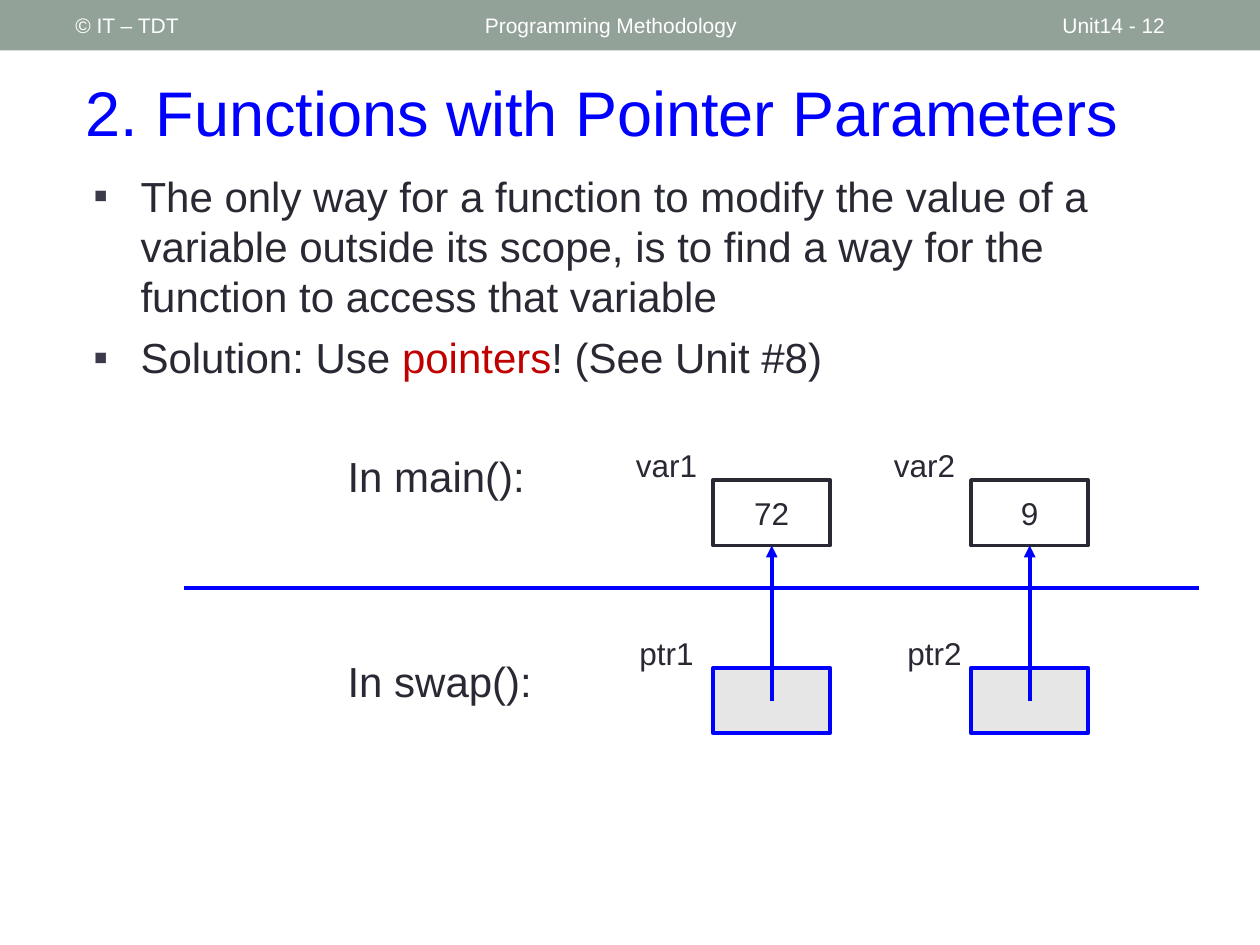
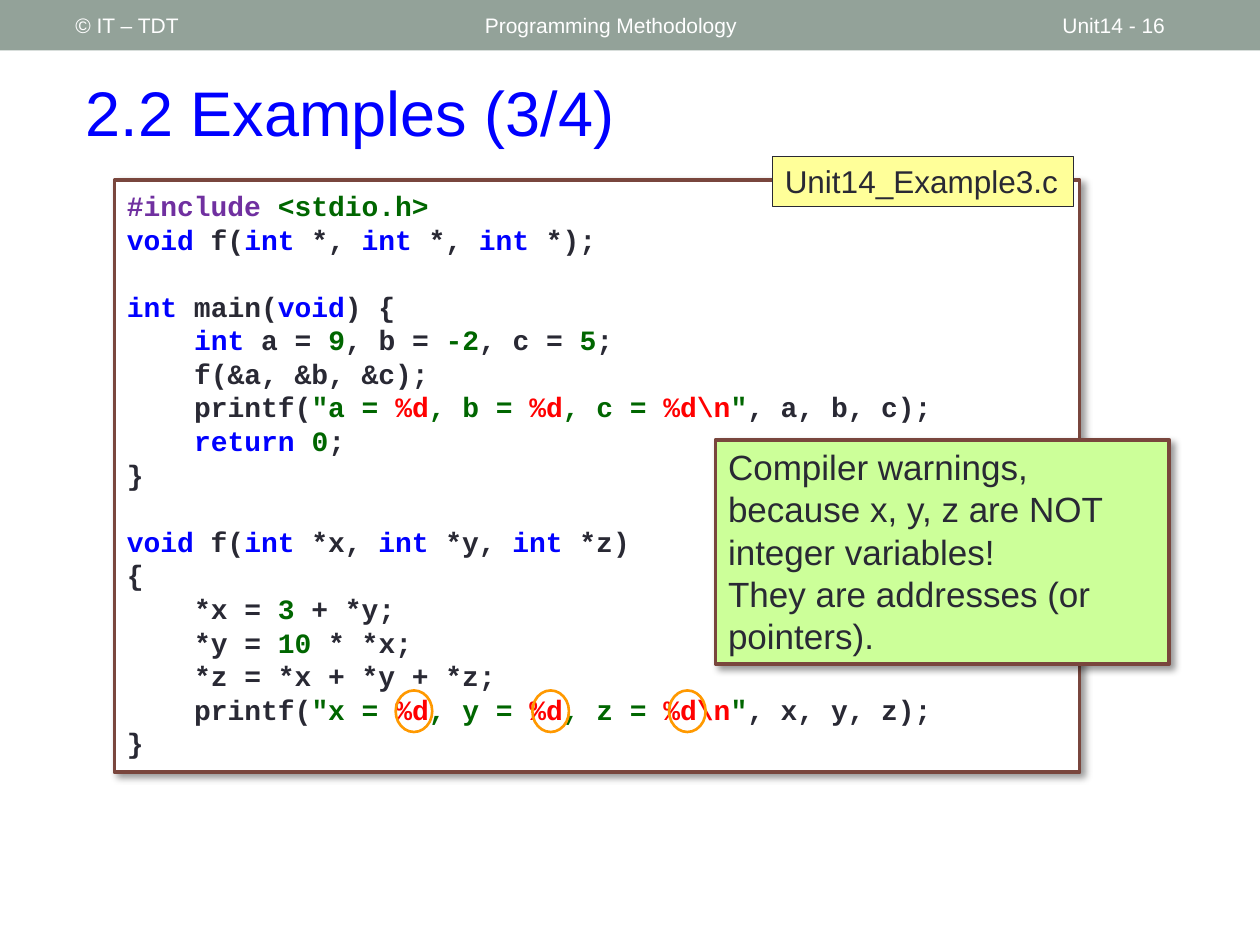
from dataclasses import dataclass
from functools import partial

from lxml import etree
from pptx import Presentation
from pptx.dml.color import RGBColor
from pptx.enum import shapes, text
from pptx.oxml import ns
from pptx.util import Pt


# Theme: colours, fonts and type sizes
@dataclass(frozen=True)
class Theme:
    band: str = "93A299"
    white: str = "FFFFFF"
    ink: str = "292934"
    blue: str = "0000FF"
    accent: str = "C00000"
    bullet: str = "3A3A4A"
    pointer_fill: str = "E6E6E6"
    frame: str = "79463D"
    tag: str = "FFFF99"
    callout: str = "CCFF99"
    ring: str = "FF9900"
    directive: str = "7030A0"
    literal: str = "006600"
    conversion: str = "FF0000"
    sans: str = "Arial"
    mono: str = "Courier New"
    title_size: int = 36
    body_size: int = 24
    callout_size: int = 20
    label_size: int = 18
    code_size: int = 16
    footer_size: int = 12
    leading: float = 1.2
    box_line: float = 2.08
    arrow_line: float = 2.25


THEME = Theme()
CODE_LEADING = THEME.code_size * THEME.leading
CODE_INDENT = 4 * 0.6 * THEME.code_size


@dataclass(frozen=True)
class Box:
    left: float
    top: float
    width: float
    height: float

    def lengths(self) -> tuple:
        return Pt(self.left), Pt(self.top), Pt(self.width), Pt(self.height)


@dataclass(frozen=True)
class Run:
    words: str
    color: str


@dataclass(frozen=True)
class Line:
    runs: tuple
    indent: float = 0
    hanging: float = 0
    before: float = 0


@dataclass(frozen=True)
class TextStyle:
    size: int
    color: str = THEME.ink
    font: str = THEME.sans
    bold: bool = False
    align: text.PP_ALIGN = text.PP_ALIGN.LEFT
    anchor: text.MSO_ANCHOR = text.MSO_ANCHOR.TOP


@dataclass(frozen=True)
class Variable:
    name: str
    pointer: str
    value: str


TITLE = TextStyle(THEME.title_size, THEME.blue, anchor=text.MSO_ANCHOR.MIDDLE)
FOOTER = TextStyle(THEME.footer_size, THEME.white, anchor=text.MSO_ANCHOR.MIDDLE)
BODY = TextStyle(THEME.body_size)
CALLOUT = TextStyle(THEME.callout_size)
TAG = TextStyle(THEME.label_size)
LABEL = TextStyle(THEME.label_size, align=text.PP_ALIGN.CENTER)
VALUE = TextStyle(THEME.label_size, align=text.PP_ALIGN.CENTER, anchor=text.MSO_ANCHOR.MIDDLE)
CODE = TextStyle(THEME.code_size, font=THEME.mono, bold=True)


# Drawing helpers
def write(shape, lines: list[Line], style: TextStyle) -> None:
    frame = shape.text_frame
    frame.word_wrap = True
    frame.auto_size = text.MSO_AUTO_SIZE.NONE
    frame.vertical_anchor = style.anchor
    frame.margin_left = frame.margin_right = Pt(7.2)
    frame.margin_top = frame.margin_bottom = Pt(3.6)
    for index, line in enumerate(lines):
        paragraph = frame.add_paragraph() if index else frame.paragraphs[0]
        paragraph.alignment = style.align
        paragraph.line_spacing = Pt(style.size * style.leading if hasattr(style, "leading")
                                    else style.size * THEME.leading)
        paragraph.space_before, paragraph.space_after = Pt(line.before), Pt(0)
        paragraph.font.size = Pt(style.size)
        paragraph.font.name = style.font
        paragraph.font.bold = style.bold
        paragraph.font.color.rgb = RGBColor.from_string(style.color)
        properties = paragraph._p.get_or_add_pPr()
        properties.set("marL", str(Pt(line.indent)))
        properties.set("indent", str(Pt(-line.hanging)))
        for part in line.runs:
            run = paragraph.add_run()
            run.text = part.words if isinstance(part, Run) else part
            if isinstance(part, Run):
                run.font.color.rgb = RGBColor.from_string(part.color)


def add_text(slide, box: Box, words: str, style: TextStyle) -> None:
    write(slide.shapes.add_textbox(*box.lengths()), [Line((words,))], style)


def add_figure(slide, box: Box, fill: str = "", line: str = "", weight: float = THEME.box_line,
               kind: shapes.MSO_SHAPE = shapes.MSO_SHAPE.RECTANGLE):
    shape = slide.shapes.add_shape(kind, *box.lengths())
    shape.shadow.inherit = False
    if fill:
        shape.fill.solid()
        shape.fill.fore_color.rgb = RGBColor.from_string(fill)
    else:
        shape.fill.background()
    if line:
        shape.line.color.rgb = RGBColor.from_string(line)
        shape.line.width = Pt(weight)
    else:
        shape.line.fill.background()
    return shape


def add_shadow(shape) -> None:
    effects = shape._element.spPr.find(ns.qn("a:effectLst"))
    shadow = etree.SubElement(effects, ns.qn("a:outerShdw"), blurRad=str(Pt(4)), dist=str(Pt(3)),
                              dir="2700000", algn="tl", rotWithShape="0")
    color = etree.SubElement(shadow, ns.qn("a:srgbClr"), val="000000")
    etree.SubElement(color, ns.qn("a:alpha"), val="40000")


def add_line(slide, start: tuple[float, float], end: tuple[float, float], arrow: bool = False):
    connector = slide.shapes.add_connector(
        shapes.MSO_CONNECTOR.STRAIGHT, *(Pt(value) for value in start + end))
    connector.line.color.rgb = RGBColor.from_string(THEME.blue)
    connector.line.width = Pt(THEME.arrow_line)
    if arrow:
        etree.SubElement(connector.line._get_or_add_ln(), ns.qn("a:tailEnd"), type="triangle")
    etree.SubElement(connector._element.spPr, ns.qn("a:effectLst"))
    return connector


def add_bullets(paragraphs) -> None:
    for paragraph in paragraphs:
        properties = paragraph._p.get_or_add_pPr()
        color = etree.Element(ns.qn("a:buClr"))
        etree.SubElement(color, ns.qn("a:srgbClr"), val=THEME.bullet)
        font = etree.Element(ns.qn("a:buFont"), typeface=THEME.sans)
        bullet = etree.Element(ns.qn("a:buChar"), char="▪")
        defaults = properties.find(ns.qn("a:defRPr"))
        for element in (color, font, bullet):
            defaults.addprevious(element)


# Shared frame: band, footers and title
def add_slide(presentation, layout: int, title: str, number: int):
    slide = presentation.slides.add_slide(presentation.slide_layouts[layout])
    heading = slide.shapes.title
    heading.left, heading.top, heading.width, heading.height = Box(41.76, 30.24, 660.24, 66.24).lengths()
    write(heading, [Line((title,))], TITLE)
    add_figure(slide, Box(0, 0, 720, 28.8), THEME.band)
    for left, width, words in ((36, 228, "© IT – TDT"),
                               (270, 324, "Programming Methodology"),
                               (600, 84, f"Unit14 - {number}")):
        add_text(slide, Box(left, 1.44, width, 25.92), words, FOOTER)
    return slide


def build_pointer_slide(presentation) -> None:
    slide = add_slide(presentation, 1, "2. Functions with Pointer Parameters", 12)

    # Bullet list
    body = slide.placeholders[1]
    body.left, body.top, body.width, body.height = Box(46.08, 93.6, 648, 392.4).lengths()
    write(body, [
        Line(("The only way for a function to modify the value of a variable outside its scope, "
              "is to find a way for the function to access that variable",), 27, 27),
        Line(("Solution: Use ", Run("pointers", THEME.accent), "! (See Unit #8)"), 27, 27, 6),
    ], BODY)
    add_bullets(body.text_frame.paragraphs)

    # Scopes and the line between them
    for top, words in ((254.16, "In main():"), (370.8, "In swap():")):
        add_text(slide, Box(191.52, top, 121.68, 36), words, BODY)
    add_line(slide, (105.12, 336.24), (685.44, 336.24))

    # Variables with the pointers to them
    width, height, step = 66.96, 37.44, 147.4
    variable_top, pointer_top = 274.32, 381.6
    for column, variable in enumerate((Variable("var1", "ptr1", "72"), Variable("var2", "ptr2", "9"))):
        left = 407.52 + column * step
        target = add_figure(slide, Box(left, variable_top, width, height), line=THEME.ink)
        write(target, [Line((variable.value,))], VALUE)
        add_figure(slide, Box(left, pointer_top, width, height), THEME.pointer_fill, THEME.blue)
        pointer_shift = 5.76 * column
        for top, shift, name in ((variable_top, 0, variable.name),
                                 (pointer_top, pointer_shift, variable.pointer)):
            add_text(slide, Box(left - 62.6 + shift, top - 23.04, 72, 28.8), name, LABEL)
        center = left + width / 2
        arrow = add_line(slide, (center, pointer_top + height / 2),
                         (center, variable_top + height), arrow=True)
        arrow.end_connect(target, 2)


# Program listing
keyword = partial(Run, color=THEME.blue)
literal = partial(Run, color=THEME.literal)
conversion = partial(Run, color=THEME.conversion)
code = partial(Line, indent=CODE_INDENT)


def signature(parameters: tuple, ending: str) -> tuple:
    runs = [keyword("void"), " f("]
    for index, parameter in enumerate(parameters):
        last = index == len(parameters) - 1
        runs += [keyword("int"), f" {parameter}" + (ending if last else ", ")]
    return tuple(runs)


def print_call(names: str) -> tuple:
    first, second, third = names
    return ("printf(", literal(f'"{first} = '), conversion("%d"), literal(f", {second} = "),
            conversion("%d"), literal(f", {third} = "), conversion("%d\\n"), literal('"'),
            f", {first}, {second}, {third});")


LISTING = [
    Line((Run("#include ", THEME.directive), literal("<stdio.h>"))),
    Line(signature(("*", "*", "*"), ");")),
    Line((keyword("int"), " main(", keyword("void"), ") {"), before=CODE_LEADING),
    code((keyword("int"), " a = ", literal("9"), ", b = ", literal("-2"), ", c = ", literal("5"), ";")),
    code(("f(&a, &b, &c);",)),
    code(print_call("abc")),
    code((keyword("return "), literal("0"), ";")),
    Line(("}",)),
    Line(signature(("*x", "*y", "*z"), ")"), before=CODE_LEADING),
    Line(("{",)),
    code(("*x = ", literal("3"), " + *y;")),
    code(("*y = ", literal("10"), " * *x;")),
    code(("*z = *x + *y + *z;",)),
    code(print_call("xyz")),
    Line(("}",)),
]


def build_example_slide(presentation) -> None:
    slide = add_slide(presentation, 5, "2.2 Examples (3/4)", 16)

    # Listing and its file name
    listing = add_figure(slide, Box(65.52, 102.96, 551.52, 338.4), THEME.white, THEME.frame)
    add_shadow(listing)
    write(listing, LISTING, CODE)
    listing.text_frame.margin_top = Pt(4.8)
    tag = add_figure(slide, Box(441.36, 89.28, 172.08, 28.8), THEME.tag, THEME.ink, 0.75)
    write(tag, [Line(("Unit14_Example3.c",))], TAG)

    # Warning callout
    callout = add_figure(slide, Box(408.96, 251.28, 259.2, 128.16), THEME.callout, THEME.frame)
    add_shadow(callout)
    write(callout, [Line(("Compiler warnings, because x, y, z are NOT integer variables!",)),
                    Line(("They are addresses (or pointers).",))], CALLOUT)

    # Rings around the wrong conversions
    for index in range(3):
        add_figure(slide, Box(226.08 + index * 78.12, 394.56, 20.88, 23.76),
                   line=THEME.ring, weight=1.5, kind=shapes.MSO_SHAPE.OVAL)


def main() -> None:
    presentation = Presentation()
    presentation.slide_width, presentation.slide_height = Pt(720), Pt(540)
    build_pointer_slide(presentation)
    build_example_slide(presentation)
    presentation.save("out.pptx")


if __name__ == "__main__":
    main()
